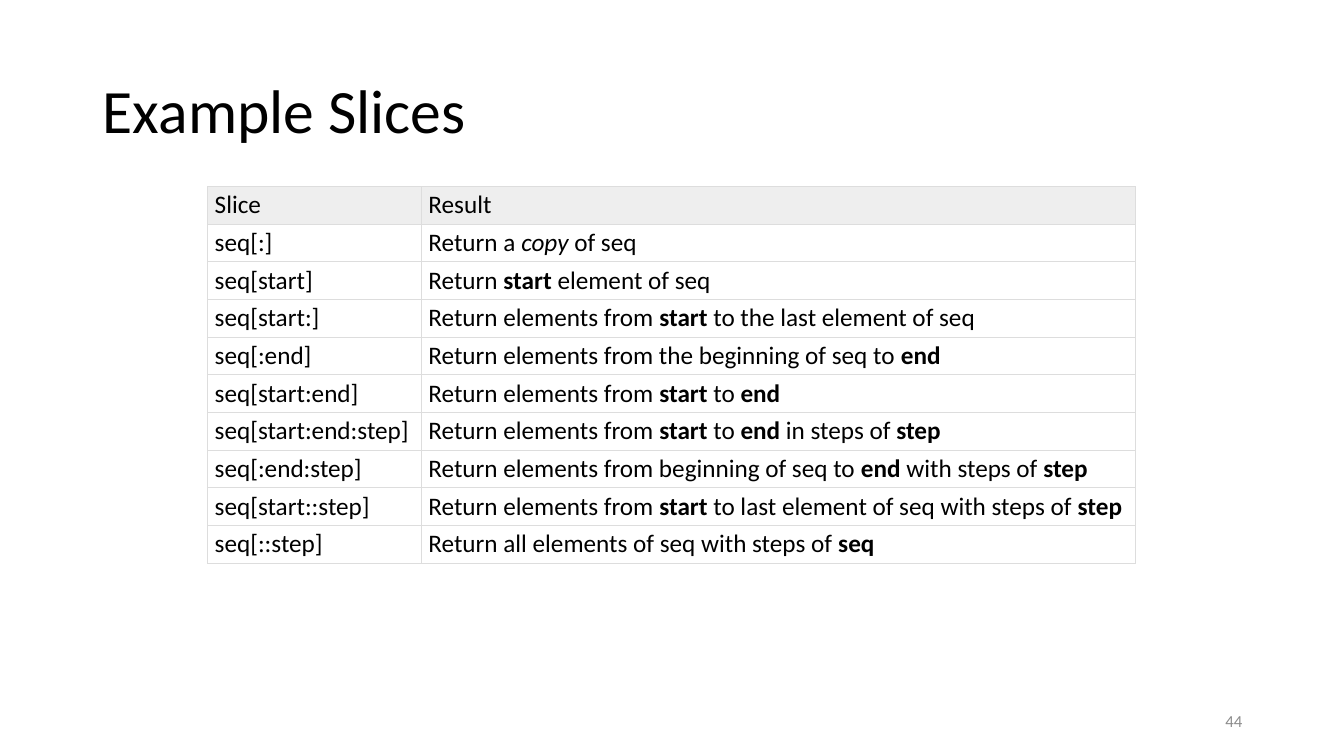
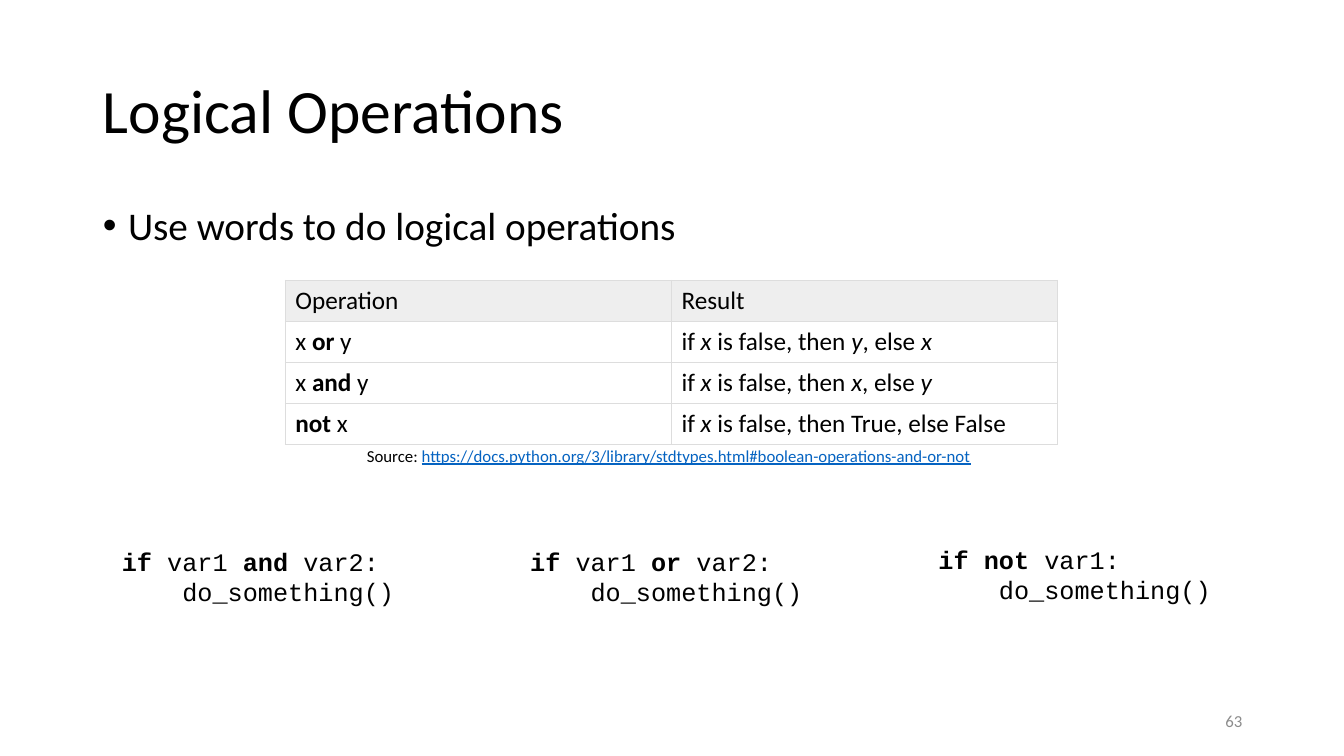
from lxml import etree
from pptx import Presentation
from pptx.dml.color import RGBColor
from pptx.enum.text import MSO_ANCHOR as Anchor, PP_ALIGN as Align
from pptx.oxml.ns import qn
from pptx.util import Inches, Pt

BLACK, GREY, LINK = "000000", "8C8C8C", "0563C1"
HEADER, WHITE, BORDER = "EEEEEE", "FFFFFF", "DDDDDD"
SANS, MONO = "Calibri", "Courier New"
TITLE_ONLY, TITLE_AND_BODY = 5, 1

# In all texts *...* is bold and ~...~ is italic.
SLICES = [
    ("Slice", "Result"),
    ("seq[:]", "Return a ~copy~ of seq"),
    ("seq[start]", "Return *start* element of seq"),
    ("seq[start:]", "Return elements from *start* to the last element of seq"),
    ("seq[:end]", "Return elements from the beginning of seq to *end*"),
    ("seq[start:end]", "Return elements from *start* to *end*"),
    ("seq[start:end:step]", "Return elements from *start* to *end* in steps of *step*"),
    ("seq[:end:step]", "Return elements from beginning of seq to *end* with steps of *step*"),
    ("seq[start::step]", "Return elements from *start* to last element of seq with steps of *step*"),
    ("seq[::step]", "Return all elements of seq with steps of *seq*"),
]
OPERATIONS = [
    ("Operation", "Result"),
    ("x *or* y", "if ~x~ is false, then ~y~, else ~x~"),
    ("x *and* y", "if ~x~ is false, then ~x~, else ~y~"),
    ("*not* x", "if ~x~ is false, then True, else False"),
]
SOURCE_URL = "https://docs.python.org/3/library/stdtypes.html#boolean-operations-and-or-not"
CONDITIONS = [  # condition, top of its example
    ("*if* var1 *and* var2:", 5.37),
    ("*if* var1 *or* var2:", 5.37),
    ("*if not* var1:", 5.35),
]
ACTION = "do_something()"


def rgb(color):
    return RGBColor.from_string(color)


def write(paragraph, text, size=18, font=SANS, color=BLACK, underline=None):
    """Append text to the paragraph, one run for each marked part."""
    for i, part in enumerate(text.split("*")):
        for j, piece in enumerate(part.split("~")):
            if not piece:
                continue
            run = paragraph.add_run()
            run.text = piece
            run.font.size, run.font.name = Pt(size), font
            run.font.color.rgb = rgb(color)
            run.font.bold, run.font.italic = i % 2 == 1, j % 2 == 1
            run.font.underline = underline


def place(shape, left, top, width, height):
    shape.left, shape.top = Inches(left), Inches(top)
    shape.width, shape.height = Inches(width), Inches(height)


def indent(paragraph, left, first=0):
    properties = paragraph._p.get_or_add_pPr()
    properties.set("marL", str(Inches(left)))
    properties.set("indent", str(Inches(first)))


def add_text_frame(slide, left, top, width, height):
    box = slide.shapes.add_textbox(*map(Inches, (left, top, width, height)))
    box.text_frame.word_wrap = True
    return box.text_frame


def add_slide(deck, layout, title, number):
    slide = deck.slides.add_slide(deck.slide_layouts[layout])
    place(slide.shapes.title, 0.92, 0.4, 11.5, 1.45)
    frame = slide.shapes.title.text_frame
    frame.vertical_anchor = Anchor.MIDDLE
    heading = frame.paragraphs[0]
    heading.alignment, heading.line_spacing = Align.LEFT, 0.9
    write(heading, title, size=44)

    footer = add_text_frame(slide, 9.42, 6.95, 3, 0.4)
    footer.vertical_anchor = Anchor.MIDDLE
    footer.paragraphs[0].alignment = Align.RIGHT
    write(footer.paragraphs[0], str(number), size=12, color=GREY)
    return slide


def add_borders(cell):
    properties = cell._tc.get_or_add_tcPr()
    for index, side in enumerate(("lnL", "lnR", "lnT", "lnB")):
        line = etree.Element(qn("a:" + side), w=str(Pt(0.75)))
        fill = etree.SubElement(line, qn("a:solidFill"))
        etree.SubElement(fill, qn("a:srgbClr"), val=BORDER)
        properties.insert(index, line)


def add_table(slide, rows, left, top, widths, height, margins=(0.1, 0.05)):
    """Add a table with equal rows; margins are (sides, top and bottom)."""
    table = slide.shapes.add_table(
        len(rows), len(widths), Inches(left), Inches(top),
        Inches(sum(widths)), Inches(height)).table
    table.first_row = table.horz_banding = False
    for column, width in zip(table.columns, widths):
        column.width = Inches(width)
    side, edge = map(Inches, margins)
    for r, texts in enumerate(rows):
        table.rows[r].height = Inches(height / len(rows))
        for c, text in enumerate(texts):
            cell = table.cell(r, c)
            cell.margin_left = cell.margin_right = side
            cell.margin_top = cell.margin_bottom = edge
            cell.vertical_anchor = Anchor.MIDDLE
            cell.fill.solid()
            cell.fill.fore_color.rgb = rgb(WHITE if r else HEADER)
            add_borders(cell)
            write(cell.text_frame.paragraphs[0], text)


def build_slices(deck):
    slide = add_slide(deck, TITLE_ONLY, "Example Slices", 44)
    add_table(slide, SLICES, 2.06, 1.85, (2.12, 7.08), 3.74, margins=(0.07, 0.03))


def build_operations(deck):
    slide = add_slide(deck, TITLE_AND_BODY, "Logical Operations", 63)
    body = slide.placeholders[1]
    place(body, 0.92, 2, 11.5, 4.76)
    bullet = body.text_frame.paragraphs[0]
    bullet.line_spacing, bullet.space_before = 0.9, Pt(10)
    indent(bullet, 0.25, -0.25)
    write(bullet, "Use words to do logical operations", size=28)

    add_table(slide, OPERATIONS, 2.83, 2.78, (3.83, 3.83), 1.63)

    for i, (condition, top) in enumerate(CONDITIONS):
        code = add_text_frame(slide, 1.11 + 4.05 * i, top, 3, 0.71)
        write(code.paragraphs[0], condition, font=MONO)
        action = code.add_paragraph()
        indent(action, 0.6)
        write(action, ACTION, font=MONO)

    source = add_text_frame(slide, 3.54, 4.37, 6.25, 0.3).paragraphs[0]
    write(source, "Source: ", size=12)
    write(source, SOURCE_URL, size=12, color=LINK, underline=True)


def main():
    deck = Presentation()
    deck.slide_width, deck.slide_height = Inches(13.33), Inches(7.5)
    build_slices(deck)
    build_operations(deck)
    deck.save("out.pptx")


if __name__ == "__main__":
    main()
